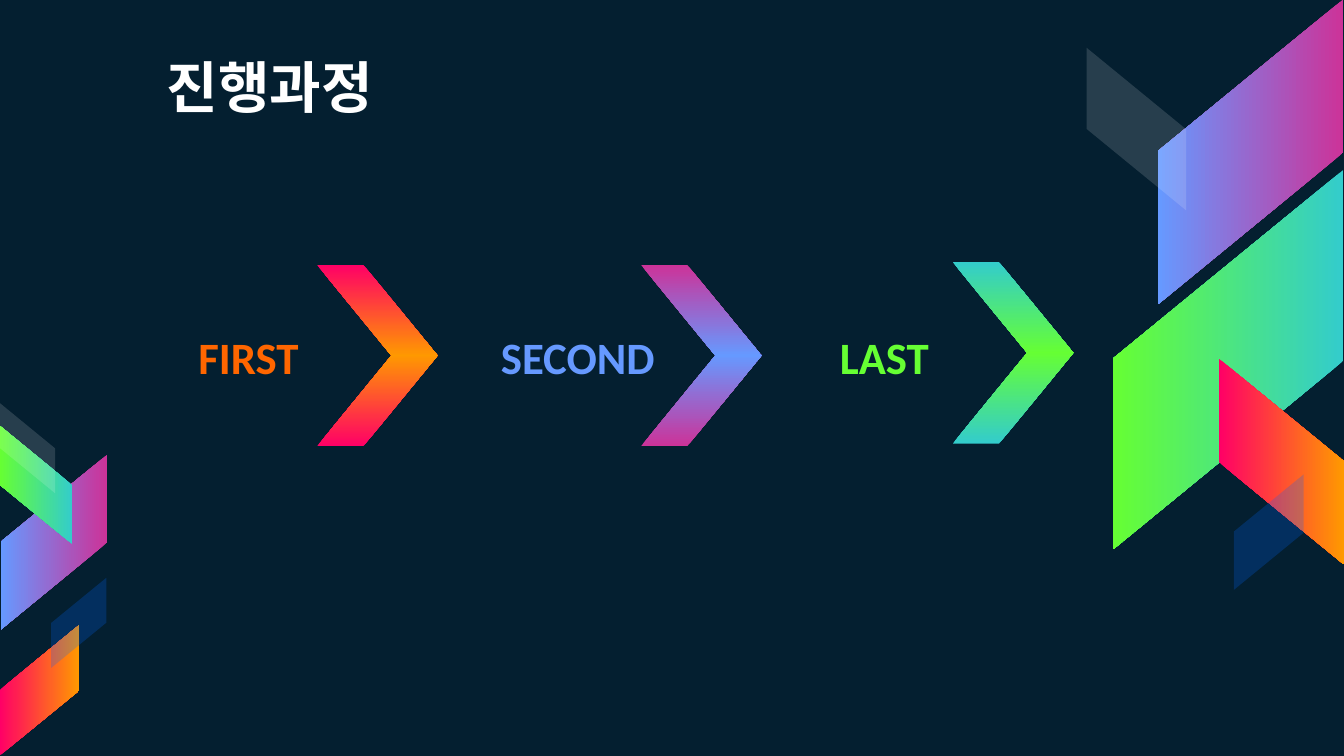
from dataclasses import dataclass
from typing import NamedTuple

from lxml import etree
from pptx import Presentation
from pptx.dml.color import RGBColor
from pptx.enum.shapes import MSO_SHAPE
from pptx.enum.text import MSO_ANCHOR, MSO_AUTO_SIZE, PP_ALIGN
from pptx.oxml.ns import qn
from pptx.util import Inches, Pt

PARALLELOGRAM = MSO_SHAPE.PARALLELOGRAM
BOTTOM, MIDDLE = MSO_ANCHOR.BOTTOM, MSO_ANCHOR.MIDDLE
LEFT, RIGHT = PP_ALIGN.LEFT, PP_ALIGN.RIGHT
NO_FIT = MSO_AUTO_SIZE.NONE

SLIDE_WIDTH, SLIDE_HEIGHT = Inches(10), Inches(5.625)
UNIT = SLIDE_WIDTH / 100  # one column, and one row, of the grid
SLANT = 0.819
TITLE_FONT, LABEL_FONT = "Noto Sans CJK KR", "Calibri"
CHEVRON_WIDTH, HALF_HEIGHT, HALF_STEP = 9, 6.8, 6.7
LABEL_TOP, LABEL_HEIGHT = 19.8, 13.5


class Area(NamedTuple):
    """Left, top, width and height in grid units."""
    left: float
    top: float
    width: float
    height: float


class Paint(NamedTuple):
    """One colour with its opacity in percent, or a gradient to a second one."""
    start: str
    end: str = ""
    opacity: int = 100


PURPLE = Paint("CC3399", "6699FF")
GREEN = Paint("33CCCC", "66FF33")
ORANGE = Paint("FF0066", "FF9900")
MIST = Paint("FFFFFF", opacity=14)
NAVY = Paint("0066FF", opacity=23)


@dataclass
class Band:
    area: Area
    paint: Paint
    rotation: int
    flipped: bool = False


@dataclass
class Step:
    label: str
    color: str
    label_left: float
    label_width: float
    chevron_left: float
    chevron_top: float
    paint: Paint


BANDS = [
    Band(Area(81.7, 4.4, 22.7, 13.8), PURPLE, 90, True),
    Band(Area(77.3, 18.2, 28.2, 17.1), GREEN, 90, True),
    Band(Area(87.7, 29.7, 15.3, 9.3), ORANGE, 270),
    Band(Area(78.5, 5.9, 12.1, 7.4), MIST, 270),
    Band(Area(90.1, 37, 8.6, 5.2), NAVY, 270, True),
    Band(Area(-2.5, 36.4, 13, 7.9), PURPLE, 90, True),
    Band(Area(-1.7, 33.4, 8.8, 5.4), GREEN, 90),
    Band(Area(-1.9, 48.4, 9.7, 5.9), ORANGE, 270, True),
    Band(Area(-1.3, 31.3, 6.7, 4.1), MIST, 270),
    Band(Area(2.5, 44.3, 6.7, 4.1), NAVY, 270, True),
]

STEPS = [
    Step("FIRST", "FF6600", 6.7, 16.5, 23.6, 19.7, ORANGE),
    Step("SECOND", "6699FF", 29.2, 20.5, 47.7, 19.7, PURPLE),
    Step("LAST", "66FF33", 53.6, 16.5, 70.9, 19.5, GREEN),
]


def rgb(color: str) -> RGBColor:
    return RGBColor.from_string(color)


def to_emu(area: Area) -> list[int]:
    return [round(length * UNIT) for length in area]


def paint_shape(shape, paint: Paint) -> None:
    fill = shape.fill
    if paint.end:
        fill.gradient()
        fill.gradient_angle = 270  # counter-clockwise: runs from top to bottom
        for stop, color in zip(fill.gradient_stops, (paint.start, paint.end)):
            stop.color.rgb = rgb(color)
        return
    fill.solid()
    fill.fore_color.rgb = rgb(paint.start)
    color_element = shape.element.spPr.find(".//" + qn("a:srgbClr"))
    etree.SubElement(color_element, qn("a:alpha"), val=str(paint.opacity * 1000))


def draw_band(page, band: Band) -> None:
    shape = page.shapes.add_shape(PARALLELOGRAM, *to_emu(band.area))
    shape.adjustments[0] = SLANT
    shape.rotation = band.rotation
    if band.flipped:
        shape.element.spPr.get_or_add_xfrm().set("flipH", "1")
    shape.shadow.inherit = False
    shape.line.fill.background()
    paint_shape(shape, band.paint)


def write_text(box, text: str, font: str, size: int, color: str, anchor, align) -> None:
    frame = box.text_frame
    frame.text = text
    frame.word_wrap = True
    frame.auto_size = NO_FIT
    frame.vertical_anchor = anchor
    frame.margin_left = frame.margin_right = Inches(0.1)
    frame.margin_top = frame.margin_bottom = Inches(0.1)
    para = frame.paragraphs[0]
    para.alignment = align
    para.font.name = font
    para.font.size = Pt(size)
    para.font.bold = True
    para.font.color.rgb = rgb(color)
    properties = para._p.find(".//" + qn("a:defRPr"))
    etree.SubElement(properties, qn("a:ea"), typeface=font)


def draw_step(page, step: Step) -> None:
    """Draw a chevron from two mirrored halves, with its label on the left."""
    for half, rotation in enumerate((0, 180)):
        area = Area(step.chevron_left, step.chevron_top + half * HALF_STEP,
                    CHEVRON_WIDTH, HALF_HEIGHT)
        draw_band(page, Band(area, step.paint, rotation, flipped=half == 0))
    area = Area(step.label_left, LABEL_TOP, step.label_width, LABEL_HEIGHT)
    box = page.shapes.add_textbox(*to_emu(area))
    write_text(box, step.label, LABEL_FONT, 24, step.color, MIDDLE, RIGHT)


def main() -> None:
    deck = Presentation()
    deck.slide_width, deck.slide_height = SLIDE_WIDTH, SLIDE_HEIGHT
    page = deck.slides.add_slide(deck.slide_layouts[5])
    page.background.fill.solid()
    page.background.fill.fore_color.rgb = rgb("041F30")

    for band in BANDS:
        draw_band(page, band)
    title = page.shapes.title
    title.left, title.top, title.width, title.height = to_emu(Area(11.4, 2.9, 65.3, 7))
    write_text(title, "진행과정", TITLE_FONT, 30, "FFFFFF", BOTTOM, LEFT)
    for step in STEPS:
        draw_step(page, step)

    deck.save("out.pptx")


if __name__ == "__main__":
    main()
